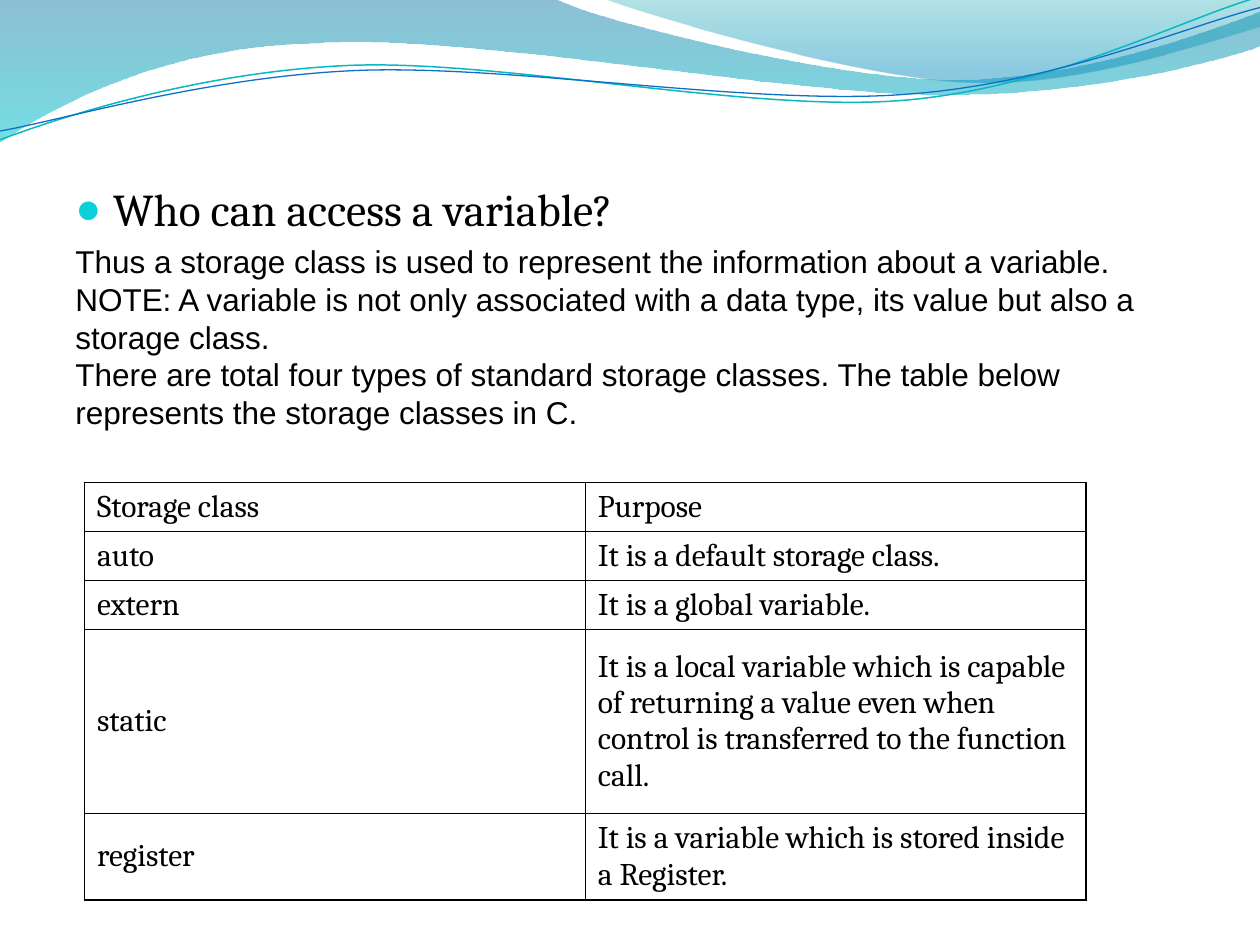
from dataclasses import dataclass

from lxml.etree import SubElement
from pptx import Presentation
from pptx.dml.color import RGBColor
from pptx.enum.text import MSO_ANCHOR
from pptx.oxml.ns import qn
from pptx.util import Inches, Pt

BLACK = RGBColor(0x00, 0x00, 0x00)
BULLET = RGBColor(0x0B, 0xD0, 0xD9)
TEAL = RGBColor(0x0A, 0xB8, 0xBF)
BLUE = RGBColor(0x0F, 0x6F, 0xC6)
DEEP_BLUE = RGBColor(0x00, 0x74, 0xA1)
AQUA = RGBColor(0x00, 0xC6, 0xCF)
SEA = RGBColor(0x00, 0xA1, 0xA9)
SKY = RGBColor(0x00, 0x8B, 0xBF)


@dataclass
class Stop:
    position: float
    color: RGBColor
    opacity: int


@dataclass
class Band:
    start: tuple
    segments: list
    stops: list


@dataclass
class Wave:
    start: tuple
    segments: list
    color: RGBColor
    width: float


BANDS = [
    Band((0, 0), [
        (4.4, -0.01),
        (4.76, 0.17, 6.64, 0.63, 7.58, 0.63), (8.53, 0.63, 9.58, 0.26, 10, 0.09),
        (10.01, 0.36),
        (9.83, 0.44, 8.7, 0.76, 7.46, 0.75), (6.22, 0.75, 3.82, 0.28, 2.57, 0.34),
        (1.29, 0.36, 0.46, 0.83, -0.01, 1.13),
    ], [Stop(0, DEEP_BLUE, 45), Stop(1, AQUA, 55)]),
    Band((4.79, -0.01), [
        (5.09, 0.11, 6.82, 0.62, 7.69, 0.65), (8.56, 0.69, 9.61, 0.32, 10, 0.21),
        (10, 0),
    ], [Stop(0, SEA, 30), Stop(0.8, SKY, 45)]),
]

WAVES = [
    Wave((0, 1.11), [
        (0.48, 0.93, 1.58, 0.57, 2.77, 0.52), (3.95, 0.47, 5.93, 0.89, 7.13, 0.8),
        (8.33, 0.71, 9.38, 0.15, 9.98, -0.02),
    ], TEAL, 0.85),
    Wave((0, 1.04), [
        (0.47, 0.96, 1.64, 0.61, 2.83, 0.56), (4.03, 0.51, 5.97, 0.84, 7.17, 0.75),
        (8.36, 0.67, 9.41, 0.21, 10, 0.06),
    ], BLUE, 0.75),
]

NOTES = [
    "Thus a storage class is used to represent the information about a variable.",
    "NOTE: A variable is not only associated with a data type, its value but also a storage class.",
    "There are total four types of standard storage classes. "
    "The table below represents the storage classes in C.",
]

STORAGE_CLASSES = [
    ("Storage class", "Purpose", 0.36),
    ("auto", "It is a default storage class.", 0.36),
    ("extern", "It is a global variable.", 0.36),
    ("static", "It is a local variable which is capable of returning a value even when "
     "control is transferred to the function call.", 1.46),
    ("register", "It is a variable which is stored inside a Register.", 0.64),
]


def add_outline(s, start: tuple, segments: list, close: bool):
    builder = s.shapes.build_freeform(Inches(start[0]), Inches(start[1]))
    points = [(Inches(x), Inches(y))
              for seg in segments for x, y in zip(seg[::2], seg[1::2])]
    builder.add_line_segments(points, close=close)
    sp = builder.convert_to_shape()
    sp.shadow.inherit = False
    steps = iter(list(sp.element.spPr.iter(qn("a:lnTo"))))
    for seg in segments:
        step = next(steps)
        if len(seg) == 6:
            curve = step.makeelement(qn("a:cubicBezTo"))
            step.addprevious(curve)
            for node in (step, next(steps), next(steps)):
                curve.append(node[0])
                node.getparent().remove(node)
    return sp


def add_band(s, band: Band) -> None:
    sp = add_outline(s, band.start, band.segments, True)
    sp.line.fill.background()
    sp.fill.gradient()
    sp.fill.gradient_angle = 270
    for gs, stop in zip(sp.fill.gradient_stops, band.stops):
        gs.position = stop.position
        gs.color.rgb = stop.color
    colors = sp.element.spPr.iter(qn("a:srgbClr"))
    for color, stop in zip(colors, band.stops):
        SubElement(color, qn("a:alpha"), val=str(stop.opacity * 1000))


def add_wave(s, wave: Wave) -> None:
    sp = add_outline(s, wave.start, wave.segments, False)
    sp.fill.background()
    sp.line.color.rgb = wave.color
    sp.line.width = Pt(wave.width)


def write(p, text: str, *, font: str, size: float = 18, bullet: bool = False) -> None:
    if bullet:
        pPr = p._p.get_or_add_pPr()
        pPr.set("marL", str(Inches(0.3)))
        pPr.set("indent", str(-Inches(0.3)))
        color = SubElement(pPr, qn("a:buClr"))
        SubElement(color, qn("a:srgbClr"), val=str(BULLET))
        SubElement(pPr, qn("a:buSzPct"), val="95000")
        SubElement(pPr, qn("a:buFont"), typeface="Arial")
        SubElement(pPr, qn("a:buChar"), char="●")
    r = p.add_run()
    r.text = text
    r.font.name = font
    r.font.size = Pt(size)
    r.font.color.rgb = BLACK


def add_text(s, box: tuple, lines: list, *, anchor=MSO_ANCHOR.TOP, **style) -> None:
    tf = s.shapes.add_textbox(*map(Inches, box)).text_frame
    tf.word_wrap = True
    tf.vertical_anchor = anchor
    for i, line in enumerate(lines):
        write(tf.paragraphs[0] if i == 0 else tf.add_paragraph(), line, **style)


def format_cell(cell, text: str) -> None:
    cell.vertical_anchor = MSO_ANCHOR.MIDDLE
    cell.margin_top = cell.margin_bottom = Pt(3.2)
    write(cell.text_frame.paragraphs[0], text, font="Cambria")
    tcPr = cell._tc.get_or_add_tcPr()
    for side in ("lnL", "lnR", "lnT", "lnB"):
        ln = SubElement(tcPr, qn(f"a:{side}"), w=str(Pt(1)))
        SubElement(SubElement(ln, qn("a:solidFill")), qn("a:srgbClr"), val=str(BLACK))
    cell.fill.background()


def add_storage_table(s) -> None:
    height = sum(row[2] for row in STORAGE_CLASSES)
    table = s.shapes.add_table(len(STORAGE_CLASSES), 2, Inches(0.67), Inches(3.83),
                               Inches(7.95), Inches(height)).table
    table.first_row = table.horz_banding = False
    for row, (name, purpose, row_height) in zip(table.rows, STORAGE_CLASSES):
        row.height = Inches(row_height)
        for cell, text in zip(row.cells, (name, purpose)):
            format_cell(cell, text)


def main() -> None:
    """Build the storage class slide and save it."""
    prs = Presentation()
    prs.slide_width, prs.slide_height = Inches(10), Inches(7.5)
    s = prs.slides.add_slide(prs.slide_layouts[6])
    for band in BANDS:
        add_band(s, band)
    for wave in WAVES:
        add_wave(s, wave)
    add_text(s, (0.5, 1.39, 9, 5.53), ["Who can access a variable?"],
             font="Cambria", size=26, bullet=True)
    add_storage_table(s)
    add_text(s, (0.5, 1.86, 8.83, 1.62), NOTES, anchor=MSO_ANCHOR.MIDDLE, font="Arial")
    prs.save("out.pptx")


if __name__ == "__main__":
    main()
